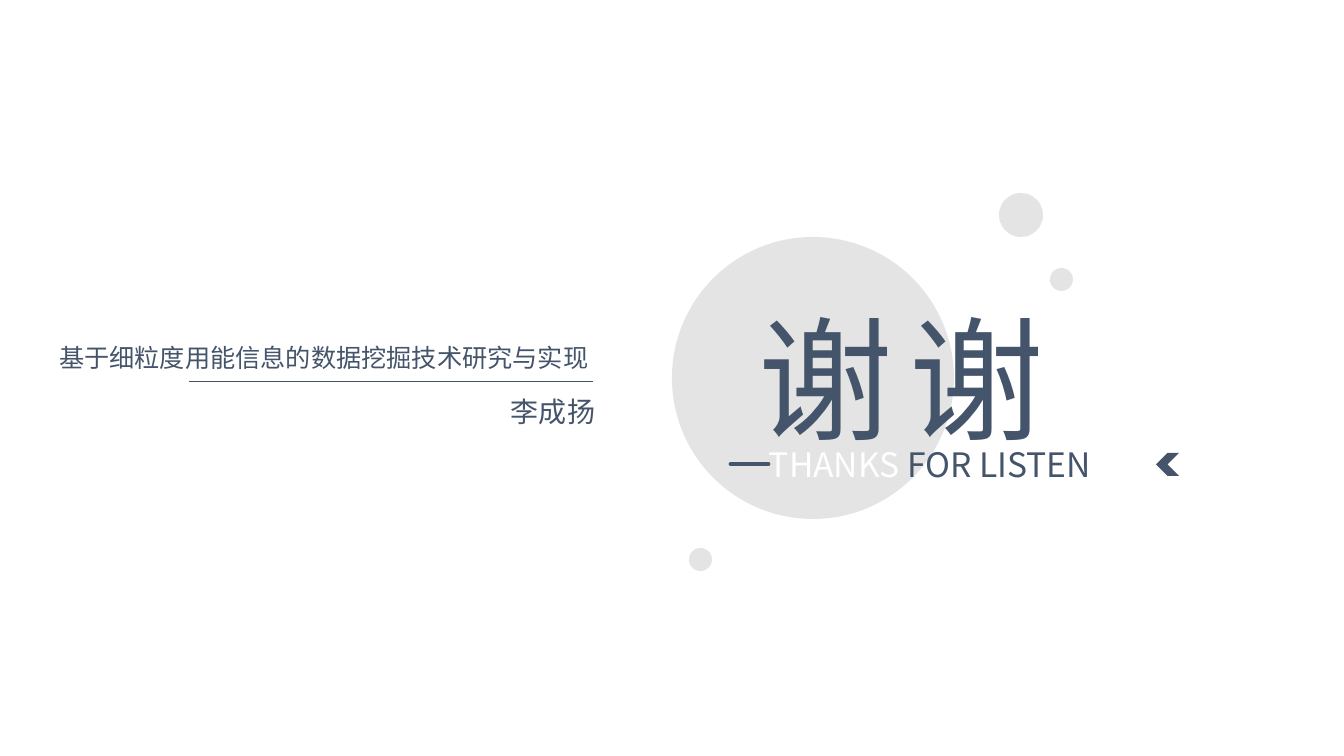
"""Builds the closing slide of a thesis talk."""
from lxml.etree import SubElement
from pptx import Presentation
from pptx.dml.color import RGBColor
from pptx.enum.shapes import MSO_CONNECTOR, MSO_SHAPE
from pptx.enum.text import MSO_ANCHOR, MSO_AUTO_SIZE, PP_ALIGN
from pptx.oxml.ns import qn
from pptx.util import Emu, Pt

SCALE = 914400 / 100.8
FONT = "Noto Sans CJK SC"
COLORS = {"ink": "44546A", "bubble": "D9D9D9", "white": "FFFFFF"}
BUBBLES = [(672, 237, 282), (999, 193, 44), (1050, 268, 23), (689, 548, 23)]


def px(length):
    """Turn pixels into EMU."""
    return Emu(round(length * SCALE))


def color(name):
    """Look up a named colour."""
    return RGBColor.from_string(COLORS[name])


def add_mark(page, preset, left, top, size, fill, opacity=100):
    """Add a square-framed preset shape without outline."""
    mark = page.shapes.add_shape(preset, px(left), px(top), px(size), px(size))
    mark.shadow.inherit = False
    mark.fill.solid()
    mark.fill.fore_color.rgb = color(fill)
    mark.line.fill.background()
    if opacity < 100:
        shade = mark._element.spPr.find(qn("a:solidFill"))[0]
        SubElement(shade, qn("a:alpha"), val=str(opacity * 1000))
    return mark


def add_rule(page, left, right, top, width, cap="flat"):
    """Add a horizontal line."""
    rule = page.shapes.add_connector(
        MSO_CONNECTOR.STRAIGHT, px(left), px(top), px(right), px(top))
    rule.line.color.rgb = color("ink")
    rule.line.width = Pt(width)
    rule.line._get_or_add_ln().set("cap", cap)
    SubElement(rule._element.spPr, qn("a:effectLst"))


def add_span(para, text, size, ink):
    """Add a formatted run to a paragraph."""
    span = para.add_run()
    span.text = text
    span.font.size = Pt(size)
    span.font.name = FONT
    span.font.color.rgb = color(ink)
    latin = span._r.rPr.find(qn("a:latin"))
    latin.addnext(latin.makeelement(qn("a:ea"), {"typeface": FONT}))


def add_text(page, text, *, at, size, ink="ink", align=PP_ALIGN.LEFT,
             wrap=True, box=None, lead="", lead_ink="white"):
    """Write one paragraph, with an optional lead, in a new or given box."""
    left, top, width, height = map(px, at)
    if box is None:
        box = page.shapes.add_textbox(left, top, width, height)
    else:
        box.left, box.top, box.width, box.height = left, top, width, height
    frame = box.text_frame
    frame.word_wrap = wrap
    frame.auto_size = MSO_AUTO_SIZE.SHAPE_TO_FIT_TEXT
    frame.vertical_anchor = MSO_ANCHOR.TOP
    para = frame.paragraphs[0]
    para.alignment = align
    if lead:
        add_span(para, lead, size, lead_ink)
    add_span(para, text, size, ink)


def main():
    """Build and save the slide."""
    deck = Presentation()
    deck.slide_width, deck.slide_height = px(1344), px(756)
    page = deck.slides.add_slide(deck.slide_layouts[5])

    for left, top, size in BUBBLES:
        add_mark(page, MSO_SHAPE.FLOWCHART_CONNECTOR, left, top, size,
                 "bubble", opacity=70)
    for left in (749, 900):
        add_text(page, "谢", at=(left, 291, 156, 173), size=96, wrap=False)
    add_text(page, "FOR LISTEN", lead="THANKS ", at=(759, 439, 404, 50),
             size=24, align=PP_ALIGN.JUSTIFY)
    add_rule(page, 731, 768, 464, 3.5, cap="rnd")
    chevron = add_mark(page, MSO_SHAPE.CHEVRON, 1156, 453, 23, "ink")
    chevron.rotation = 180

    add_text(page, "基于细粒度用能信息的数据挖掘技术研究与实现 ",
             at=(42, 337, 562, 40), size=18, align=PP_ALIGN.RIGHT,
             wrap=False, box=page.shapes.title)
    add_rule(page, 189, 593, 381, 0.5)
    add_text(page, "李成扬", at=(247, 390, 358, 44), size=20,
             align=PP_ALIGN.RIGHT)
    deck.save("out.pptx")


if __name__ == "__main__":
    main()
